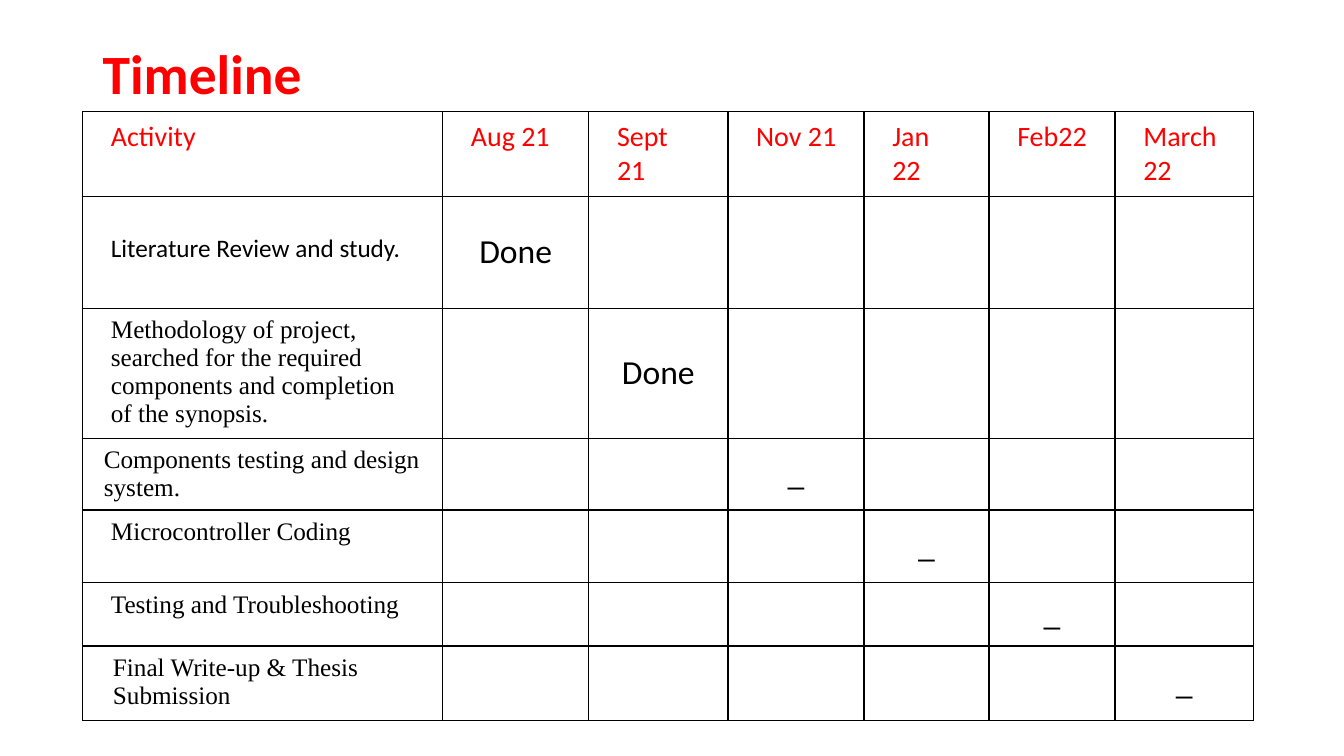
from lxml import etree
from pptx import Presentation
from pptx.dml.color import RGBColor
from pptx.enum.text import MSO_ANCHOR, PP_ALIGN
from pptx.oxml.ns import qn
from pptx.util import Inches, Pt

RED = RGBColor(0xFF, 0x00, 0x00)
BLACK = RGBColor(0x00, 0x00, 0x00)
TOP = MSO_ANCHOR.TOP
MIDDLE = MSO_ANCHOR.MIDDLE
LEFT = PP_ALIGN.LEFT
CENTER = PP_ALIGN.CENTER
SANS = "Calibri"
SERIF = "Times New Roman"


def write(cell, text, size, font, color, anchor=TOP, align=LEFT):
    cell.text = text
    cell.vertical_anchor = anchor
    for para in cell.text_frame.paragraphs:
        para.alignment = align
        para.font.size = Pt(size)
        para.font.name = font
        para.font.color.rgb = color


def add_borders(cell):
    properties = cell._tc.get_or_add_tcPr()
    for position, side in enumerate(("a:lnL", "a:lnR", "a:lnT", "a:lnB")):
        line = etree.Element(qn(side), w=str(Pt(1)))
        fill = etree.SubElement(line, qn("a:solidFill"))
        etree.SubElement(fill, qn("a:srgbClr"), val=str(BLACK))
        properties.insert(position, line)


deck = Presentation()
deck.slide_width = Inches(13.33)
deck.slide_height = Inches(7.5)
page = deck.slides.add_slide(deck.slide_layouts[6])

title_box = page.shapes.add_textbox(Inches(0.92), Inches(0.4), Inches(11.5), Inches(0.72))
title_frame = title_box.text_frame
title_frame.word_wrap = True
title_frame.vertical_anchor = MIDDLE
title = title_frame.paragraphs[0]
title.text = "Timeline"
title.line_spacing = 0.9
title.font.size = Pt(39.6)
title.font.name = SANS
title.font.bold = True
title.font.color.rgb = RED

headings = ["Activity", "Aug 21", "Sept 21", "Nov 21", "Jan 22", "Feb22", "March\n22"]
activities = [
    ("Literature Review and study.", SANS, "Done"),
    ("Methodology of project, searched for the required components "
     "and completion of the synopsis.", SERIF, "Done"),
    ("Components testing and design system.", SERIF, "_"),
    ("Microcontroller Coding", SERIF, "_"),
    ("Testing and Troubleshooting", SERIF, "_"),
    ("Final Write-up & Thesis Submission", SERIF, "_"),
]
column_widths = [3.57, 1.45, 1.38, 1.35, 1.24, 1.25, 1.37]
row_heights = [0.84, 1.11, 1.29, 0.71, 0.72, 0.63, 0.74]

timeline = page.shapes.add_table(
    len(row_heights), len(column_widths), Inches(0.82), Inches(1.11),
    Inches(sum(column_widths)), Inches(sum(row_heights))).table
timeline.first_row = False
timeline.horz_banding = False
for column, width in zip(timeline.columns, column_widths):
    column.width = Inches(width)
for row, height in zip(timeline.rows, row_heights):
    row.height = Inches(height)

for cell in timeline.iter_cells():
    cell.margin_left = cell.margin_right = Inches(0.28)
    cell.margin_top = cell.margin_bottom = Inches(0.08)
    cell.fill.background()
    add_borders(cell)

for index, heading in enumerate(headings):
    write(timeline.cell(0, index), heading, 20, SANS, RED)
for heading in ("Nov 21", "Feb22"):
    timeline.cell(0, headings.index(heading)).margin_right = Inches(0.2)

for index, (activity, font, status) in enumerate(activities, start=1):
    activity_cell = timeline.cell(index, 0)
    write(activity_cell, activity, 18, font, BLACK)
    activity_cell.margin_bottom = Inches(0)
    write(timeline.cell(index, index), status, 24, SANS, BLACK, MIDDLE, CENTER)

literature = timeline.cell(1, 0)
literature.vertical_anchor = MIDDLE
literature.margin_bottom = Inches(0.16)
components = timeline.cell(3, 0)
components.margin_left = components.margin_right = Inches(0.21)
submission = timeline.cell(6, 0)
submission.margin_left = Inches(0.3)
submission.margin_right = Inches(0.21)

deck.save("out.pptx")
